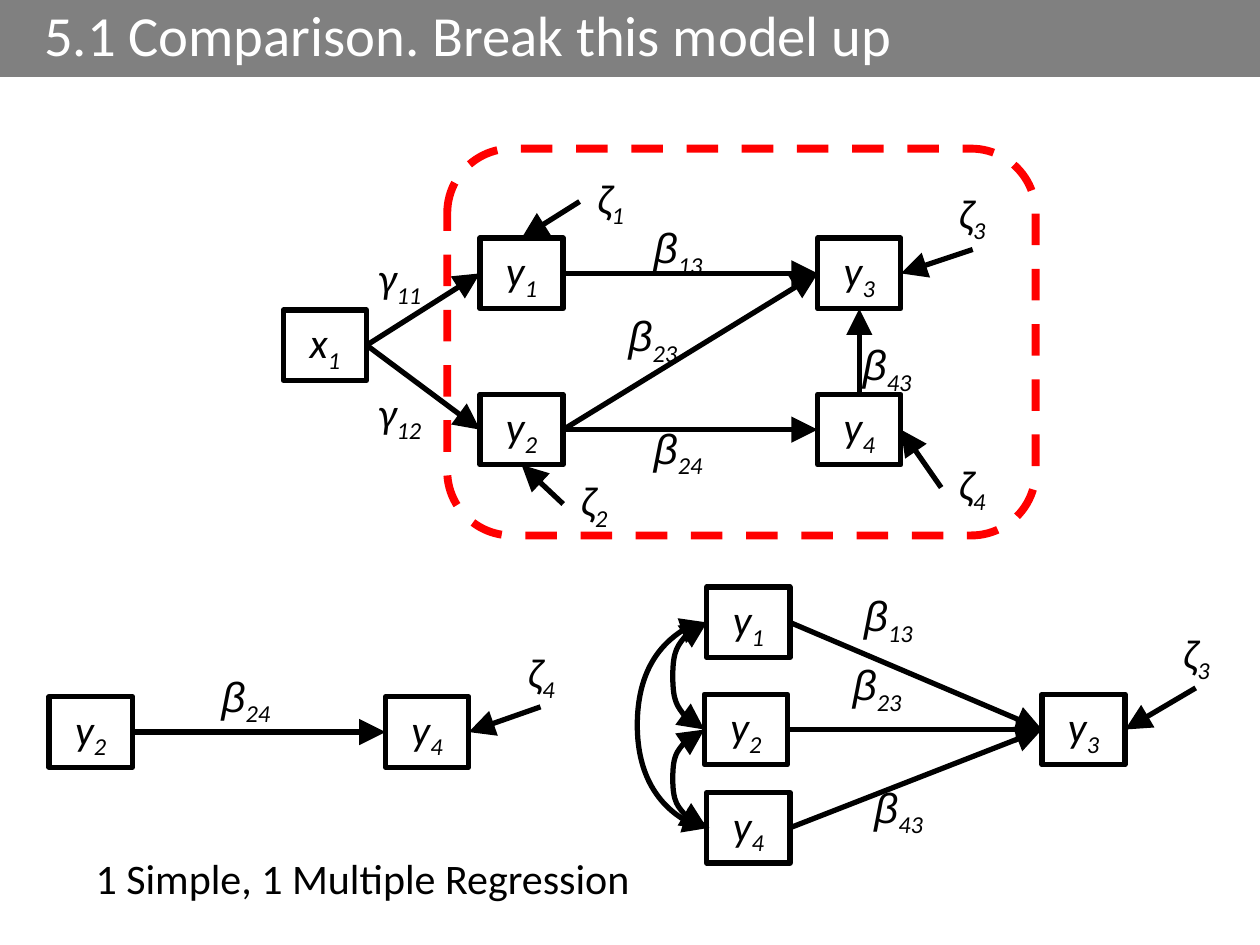
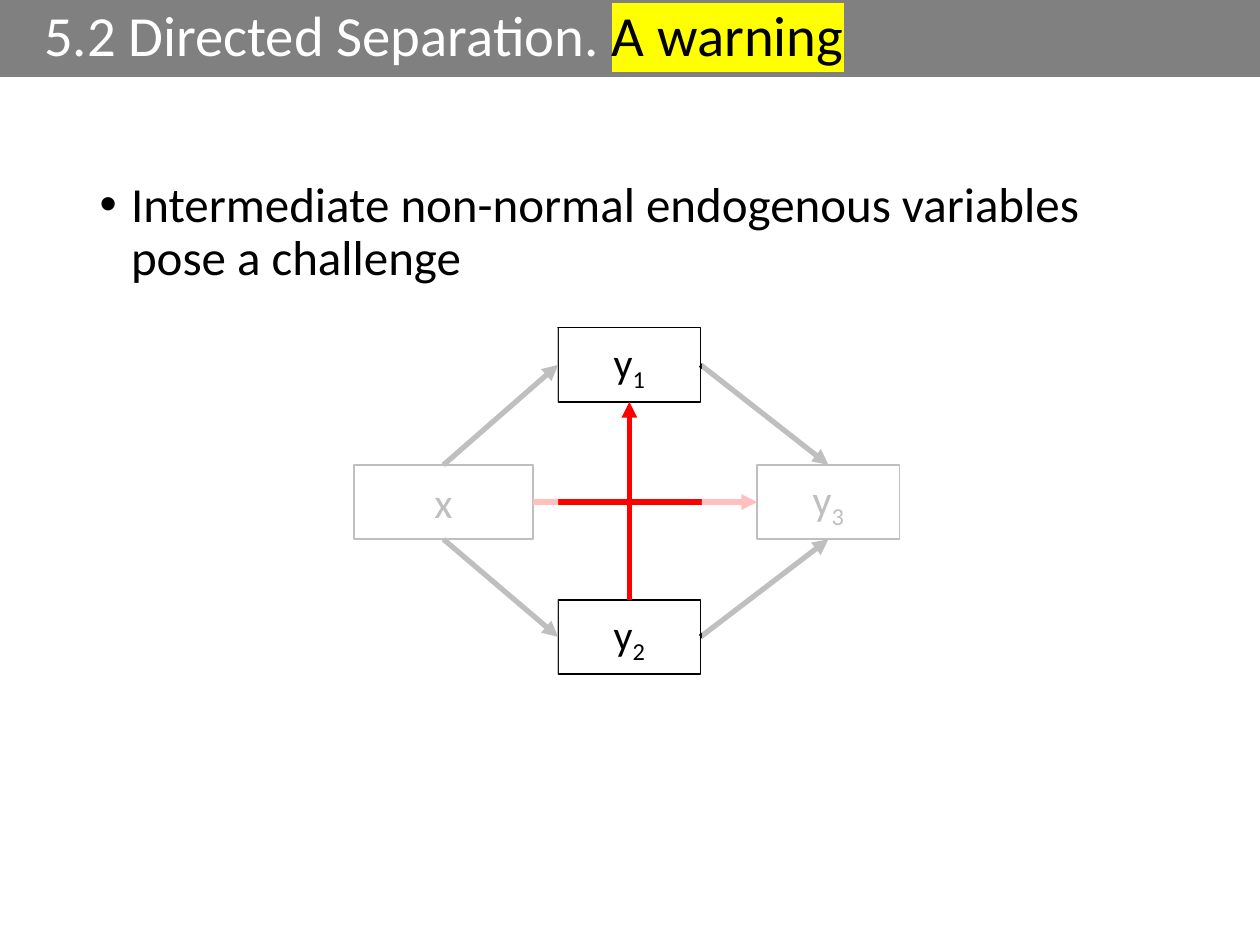
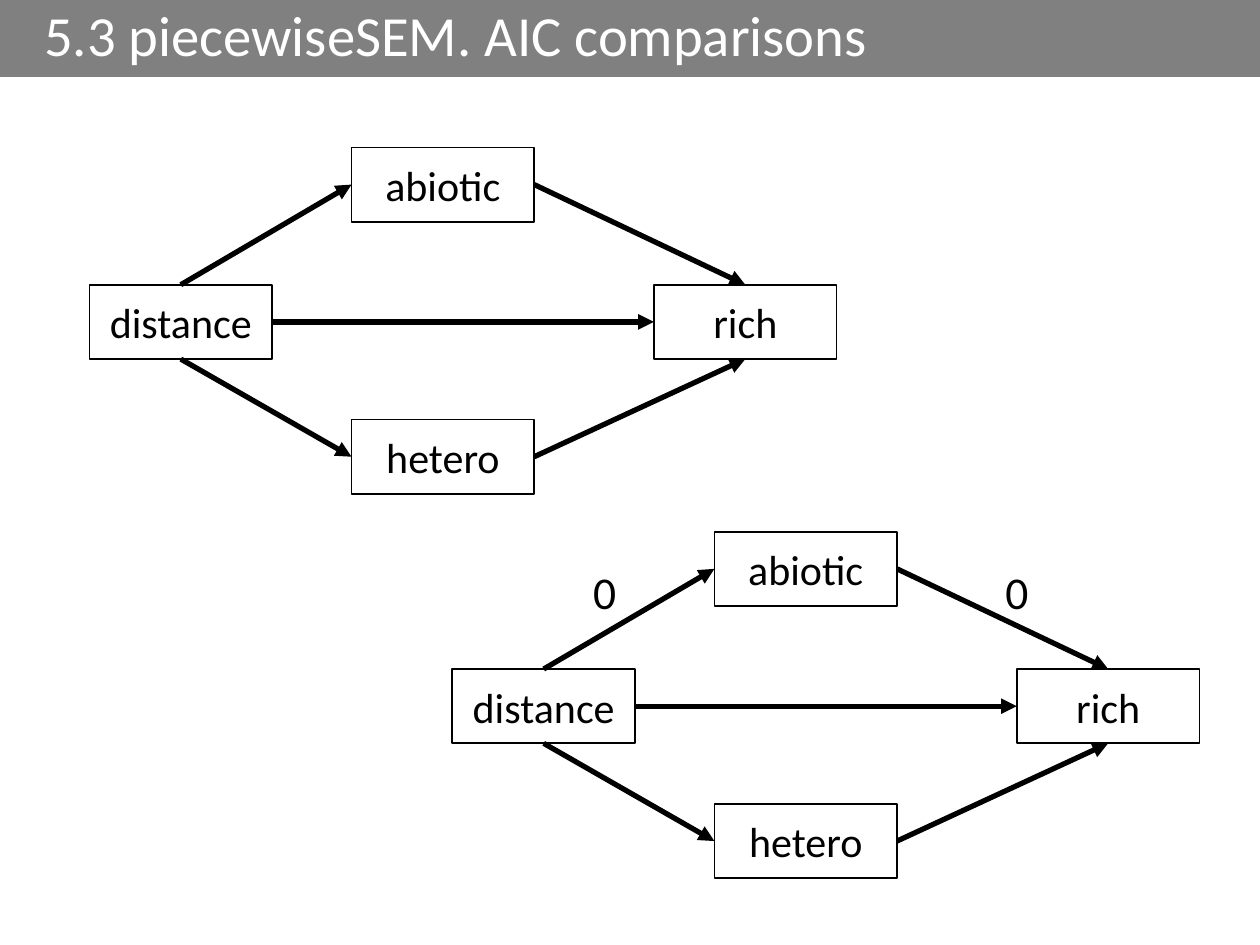
from dataclasses import dataclass

from lxml import etree
from pptx import Presentation
from pptx.dml.color import RGBColor
from pptx.enum.dml import MSO_LINE
from pptx.enum.shapes import MSO_CONNECTOR, MSO_SHAPE
from pptx.enum.text import MSO_ANCHOR, MSO_AUTO_SIZE, PP_ALIGN
from pptx.oxml.ns import qn
from pptx.util import Inches, Pt

RECTANGLE, ROUNDED = MSO_SHAPE.RECTANGLE, MSO_SHAPE.ROUNDED_RECTANGLE
STRAIGHT, CURVE = MSO_CONNECTOR.STRAIGHT, MSO_CONNECTOR.CURVE
LEFT, CENTER = PP_ALIGN.LEFT, PP_ALIGN.CENTER
TOP, MIDDLE = MSO_ANCHOR.TOP, MSO_ANCHOR.MIDDLE
DASH, NO_AUTOFIT = MSO_LINE.DASH, MSO_AUTO_SIZE.NONE

BLACK, WHITE, GRAY = "000000", "FFFFFF", "808080"
RED, YELLOW = "FF0000", "FFFF00"
FONT, GREEK_FONT = "Calibri", "Arial"
TITLE_LAYOUT, BODY_LAYOUT = 5, 1
NODE_SIZE = (0.66, 0.56)
BOX_HEIGHT = 0.59
DIAMOND_ROWS = (0, 1.09, 2.16)


@dataclass
class Box:
    left: float
    top: float
    width: float
    height: float

    def side(self, name):
        """Return the middle of one side as a point."""
        across, down = {"left": (0, 0.5), "right": (1, 0.5),
                        "top": (0.5, 0), "bottom": (0.5, 1)}[name]
        return self.left + across * self.width, self.top + down * self.height

    def inches(self):
        return [Inches(v) for v in (self.left, self.top, self.width, self.height)]


def rgb(color):
    return RGBColor.from_string(color)


# Text
def add_run(paragraph, text, size=24, font=FONT, color=BLACK, italic=None,
            subscript=False, highlight=None):
    run = paragraph.add_run()
    run.text = text
    run.font.size, run.font.name, run.font.italic = Pt(size), font, italic
    run.font.color.rgb = rgb(color)
    properties = run.font._element
    if subscript:
        properties.set("baseline", "-25000")
    if highlight:
        mark = etree.Element(qn("a:highlight"))
        etree.SubElement(mark, qn("a:srgbClr"), val=highlight)
        properties.find(qn("a:solidFill")).addnext(mark)


def write_text(frame, text, align=LEFT, anchor=TOP, wrap=True, **run_format):
    """Write text; what follows an underscore is set as a subscript."""
    frame.word_wrap, frame.vertical_anchor = wrap, anchor
    paragraph = frame.paragraphs[0]
    paragraph.alignment = align
    base, _, index = text.partition("_")
    symbol_font = GREEK_FONT if base == "β" else FONT
    add_run(paragraph, base, font=symbol_font, **run_format)
    if index:
        add_run(paragraph, index, subscript=True, **run_format)
    return paragraph


def add_label(shapes, box, text, **text_format):
    write_text(shapes.add_textbox(*box.inches()).text_frame, text, **text_format)


def set_indent(paragraph, margin, first_line):
    properties = paragraph._p.get_or_add_pPr()
    properties.set("marL", str(Inches(margin)))
    properties.set("indent", str(Inches(first_line)))
    paragraph.line_spacing = 0.9


# Shapes and lines
def add_box(shapes, box, kind=RECTANGLE, fill=None, line=None, width=1,
            alpha=None):
    shape = shapes.add_shape(kind, *box.inches())
    shape.shadow.inherit = False
    if fill:
        shape.fill.solid()
        shape.fill.fore_color.rgb = rgb(fill)
    else:
        shape.fill.background()
    if alpha:
        color = shape._element.spPr.find(qn("a:solidFill"))[0]
        etree.SubElement(color, qn("a:alpha"), val=str(alpha * 1000))
    if line:
        shape.line.color.rgb, shape.line.width = rgb(line), Pt(width)
    else:
        shape.line.fill.background()
    return shape


def add_arrow(shapes, start, end, kind=STRAIGHT, color=BLACK, head="med",
              both_ends=False):
    points = [Inches(value) for value in (*start, *end)]
    arrow = shapes.add_connector(kind, *points)
    arrow.line.color.rgb, arrow.line.width = rgb(color), Pt(3)
    for tag in ("a:headEnd", "a:tailEnd") if both_ends else ("a:tailEnd",):
        etree.SubElement(arrow.line._get_or_add_ln(), qn(tag),
                         type="triangle", w=head, len=head)
    etree.SubElement(arrow._element.spPr, qn("a:effectLst"))
    return arrow


def add_curve(shapes, start, end, bend_x):
    """Join two left sides by a double arrow that bows out to bend_x."""
    shift = 0.02
    end = (start[0] + shift, end[1])
    curve = add_arrow(shapes, start, end, kind=CURVE, head="lg", both_ends=True)
    adjust = round((bend_x - start[0]) / shift * 100000)
    geometry = curve._element.spPr.find(qn("a:prstGeom"))
    guides = geometry.find(qn("a:avLst"))
    if guides is None:
        guides = etree.SubElement(geometry, qn("a:avLst"))
    etree.SubElement(guides, qn("a:gd"), name="adj1", fmla=f"val {adjust}")


# Slide parts
def add_titled_slide(presentation, title, warning=None, layout=TITLE_LAYOUT):
    slide = presentation.slides.add_slide(presentation.slide_layouts[layout])
    band = slide.shapes.title
    band.left, band.top, band.width, band.height = Box(0, 0, 10, 0.61).inches()
    band.fill.solid()
    band.fill.fore_color.rgb = rgb(GRAY)
    band.text_frame.auto_size = NO_AUTOFIT
    paragraph = write_text(band.text_frame, title, anchor=MIDDLE, size=32.4,
                           color=WHITE)
    set_indent(paragraph, 0.25, 0)
    if warning:
        add_run(paragraph, warning, size=32.4, highlight=YELLOW)
    return slide


def add_bullet(slide, box, text):
    body = slide.placeholders[1]
    body.left, body.top, body.width, body.height = box.inches()
    body.text_frame.auto_size = NO_AUTOFIT
    paragraph = write_text(body.text_frame, text, size=28)
    paragraph.space_before = Pt(10)
    set_indent(paragraph, 0.25, -0.25)


def add_path_diagram(shapes, left, top, nodes, labels, paths, errors, curves=()):
    """Draw variables, coefficients and error terms, offset from left, top."""
    boxes = {}
    for name, (x, y) in nodes.items():
        boxes[name] = Box(left + x, top + y, *NODE_SIZE)
        node = add_box(shapes, boxes[name], line=BLACK, width=3)
        write_text(node.text_frame, name, align=CENTER, anchor=MIDDLE,
                   wrap=False, italic=True)
    for name, (x, y) in labels.items():
        is_error = name.startswith("ζ")
        box = Box(left + x, top + y, 0.49 if is_error else 0.65, 0.51)
        add_label(shapes, box, name, italic=True,
                  align=CENTER if is_error else LEFT,
                  anchor=MIDDLE if is_error else TOP)
    for source, source_side, target, target_side in paths:
        add_arrow(shapes, boxes[source].side(source_side),
                  boxes[target].side(target_side), head="lg")
    for x, y, target, side in errors:
        add_arrow(shapes, (left + x, top + y), boxes[target].side(side), head="lg")
    for source, target, bend in curves:
        add_curve(shapes, boxes[source].side("left"), boxes[target].side("left"),
                  left + bend)


def add_diamond(shapes, left, top, names, columns, widths, across_color=BLACK):
    """Draw start, upper, lower and end boxes joined by five arrows."""
    places = ((0, 1), (1, 0), (1, 2), (2, 1))
    boxes = [Box(left + columns[column], top + DIAMOND_ROWS[row],
                 widths[column], BOX_HEIGHT) for column, row in places]
    for box, name in zip(boxes, names):
        shape = add_box(shapes, box, fill=WHITE, line=BLACK)
        write_text(shape.text_frame, name, align=CENTER, anchor=MIDDLE)
    start, upper, lower, end = boxes
    for middle, side in ((upper, "top"), (lower, "bottom")):
        add_arrow(shapes, start.side(side), middle.side("left"))
        add_arrow(shapes, middle.side("right"), end.side(side))
    add_arrow(shapes, start.side("right"), end.side("left"), color=across_color)
    return boxes


# Slides
def build_model_slide(presentation):
    slide = add_titled_slide(presentation, "5.1 Comparison. Break this model up")
    shapes = slide.shapes

    # Full model
    add_path_diagram(
        shapes, 2.25, 1.18,
        nodes={"x_1": (0, 1.28), "y_1": (1.56, 0.71), "y_2": (1.56, 1.95),
               "y_3": (4.24, 0.71), "y_4": (4.24, 1.95)},
        labels={"γ_11": (0.65, 0.77), "γ_12": (0.65, 1.84),
                "β_13": (2.84, 0.53), "β_23": (2.64, 1.23),
                "β_24": (2.84, 2.12), "β_43": (4.5, 1.46),
                "ζ_1": (2.35, 0.16), "ζ_2": (2.22, 2.56),
                "ζ_3": (5.22, 0.28), "ζ_4": (5.22, 2.43)},
        paths=[("x_1", "right", "y_1", "left"), ("x_1", "right", "y_2", "left"),
               ("y_1", "right", "y_3", "left"), ("y_2", "right", "y_3", "left"),
               ("y_2", "right", "y_4", "left"), ("y_4", "top", "y_3", "bottom")],
        errors=[(2.35, 0.42, "y_1", "top"), (2.22, 2.82, "y_2", "bottom"),
                (5.47, 0.8, "y_3", "right"), (5.22, 2.69, "y_4", "right")])
    frame = add_box(shapes, Box(3.55, 1.18, 4.67, 3.07), kind=ROUNDED,
                    line=RED, width=4.5)
    frame.line.dash_style = DASH

    # Simple regression
    add_path_diagram(
        shapes, 0.39, 5.1,
        nodes={"y_2": (0, 0.43), "y_4": (2.67, 0.43)},
        labels={"β_24": (1.27, 0.17), "ζ_4": (3.66, 0)},
        paths=[("y_2", "right", "y_4", "left")],
        errors=[(3.9, 0.51, "y_4", "right")])

    # Multiple regression
    add_path_diagram(
        shapes, 5.06, 4.63,
        nodes={"y_1": (0.55, 0.03), "y_2": (0.53, 0.88), "y_4": (0.55, 1.66),
               "y_3": (3.21, 0.88)},
        labels={"β_13": (1.7, 0), "β_23": (1.61, 0.55), "β_43": (1.78, 1.52),
                "ζ_3": (4.19, 0.32)},
        paths=[(name, "right", "y_3", "left") for name in ("y_1", "y_2", "y_4")],
        errors=[(4.43, 0.83, "y_3", "right")],
        curves=[("y_2", "y_1", 0.28), ("y_2", "y_4", 0.28), ("y_1", "y_4", 0)])
    add_label(shapes, Box(0.66, 6.72, 4.48, 0.5),
              "1 Simple, 1 Multiple Regression", wrap=False)


def build_warning_slide(presentation):
    slide = add_titled_slide(presentation, "5.2 Directed Separation. ",
                             warning="A warning", layout=BODY_LAYOUT)
    add_bullet(slide, Box(0.69, 1.38, 8.62, 4.76),
               "Intermediate non-normal endogenous variables pose a challenge")
    top = 2.6
    _, upper, lower, _ = add_diamond(
        slide.shapes, 2.81, top, ("x", "y_1", "y_2", "y_3"),
        columns=(0, 1.62, 3.2), widths=(1.42, 1.13, 1.13), across_color=RED)
    add_arrow(slide.shapes, lower.side("top"), upper.side("bottom"), color=RED)

    # Veils that fade both sides
    for left in (2.25, 5.57):
        add_box(slide.shapes, Box(left, top, 2.18, 2.76), fill=WHITE, alpha=75)


def build_comparison_slide(presentation):
    slide = add_titled_slide(presentation, "5.3 piecewiseSEM. AIC comparisons")
    for left, top in ((0.71, 1.17), (3.59, 4.22)):
        group = slide.shapes.add_group_shape()
        add_diamond(group.shapes, left, top,
                    ("distance", "abiotic", "hetero", "rich"),
                    columns=(0, 2.08, 4.48), widths=(1.45,) * 3)

    # Paths fixed at zero
    for left in (4.61, 7.88):
        add_label(slide.shapes, Box(left, 4.43, 0.39, 0.54), "0", size=26,
                  wrap=False)


def main():
    presentation = Presentation()
    presentation.slide_width, presentation.slide_height = Inches(10), Inches(7.5)
    build_model_slide(presentation)
    build_warning_slide(presentation)
    build_comparison_slide(presentation)
    presentation.save("out.pptx")


if __name__ == "__main__":
    main()
